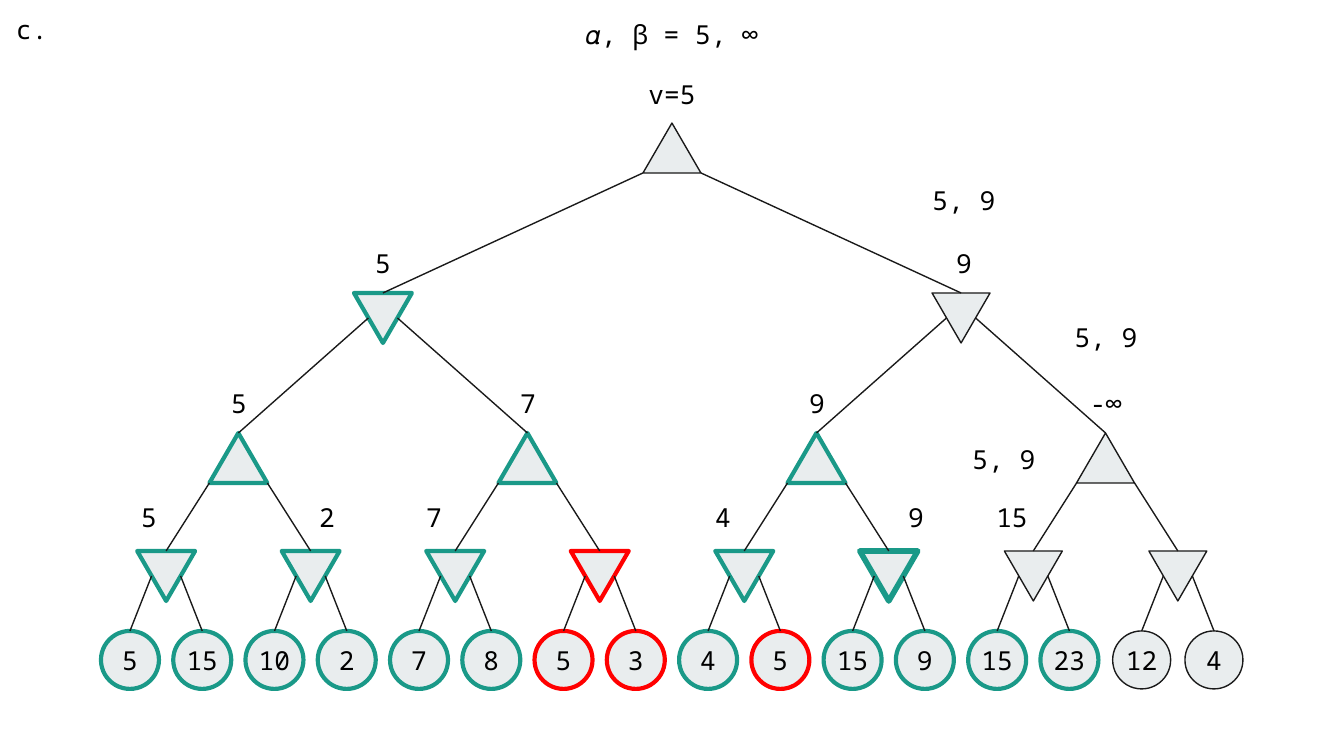
import dataclasses

import lxml.etree
import pptx
import pptx.dml.color
import pptx.enum.shapes
import pptx.enum.text
import pptx.oxml.ns
import pptx.util

EMU_PER_PX = 914400 / 134.4
SHAPES = pptx.enum.shapes.MSO_SHAPE


@dataclasses.dataclass(frozen=True)
class Theme:
    font: str = "Noto Sans Mono"
    text_size: int = 14
    text: str = "000000"
    fill: str = "E9EDEE"
    ink: str = "1A1A1A"
    visited: str = "1A9988"
    pruned: str = "FF0000"
    thin: float = 0.75
    thick: float = 2.25
    heavy: float = 3


THEME = Theme()
OUTLINES = {
    "open": (THEME.ink, THEME.thin),
    "visited": (THEME.visited, THEME.thick),
    "current": (THEME.visited, THEME.heavy),
    "pruned": (THEME.pruned, THEME.thick),
}


def px(value):
    return pptx.util.Emu(round(value * EMU_PER_PX))


def rgb(value):
    return pptx.dml.color.RGBColor.from_string(value)


def write_text(frame, text, *, margin, anchor):
    frame.margin_left = frame.margin_right = px(margin)
    frame.margin_top = frame.margin_bottom = px(margin)
    frame.vertical_anchor = anchor
    frame.word_wrap = True
    paragraph = frame.paragraphs[0]
    paragraph.alignment = pptx.enum.text.PP_ALIGN.CENTER
    run = paragraph.add_run()
    run.text = text
    run.font.name = THEME.font
    run.font.size = pptx.util.Pt(THEME.text_size)
    run.font.color.rgb = rgb(THEME.text)


class TreeSlide:
    node_width = 58
    triangle_height = 50
    label_height = 59

    def __init__(self, theme, slide):
        self.theme = theme
        self.slide = slide

    def outline(self, line, color, width):
        line.color.rgb = rgb(color)
        line.width = pptx.util.Pt(width)

    def node(self, kind, center, top, height, state):
        left = center - self.node_width / 2
        shape = self.slide.shapes.add_shape(
            kind, px(left), px(top), px(self.node_width), px(height))
        shape.shadow.inherit = False
        shape.fill.solid()
        shape.fill.fore_color.rgb = rgb(self.theme.fill)
        self.outline(shape.line, *OUTLINES[state])
        return shape

    def leaf(self, text, center, top, state):
        shape = self.node(SHAPES.OVAL, center, top, self.node_width, state)
        write_text(shape.text_frame, text, margin=0,
                   anchor=pptx.enum.text.MSO_ANCHOR.MIDDLE)

    def triangle(self, center, top, state, points_down):
        shape = self.node(SHAPES.ISOSCELES_TRIANGLE, center, top,
                          self.triangle_height, state)
        if points_down:
            shape.rotation = 180

    def edge(self, start, end):
        connector = self.slide.shapes.add_connector(
            pptx.enum.shapes.MSO_CONNECTOR.STRAIGHT,
            *(px(value) for value in (*start, *end)))
        self.outline(connector.line, self.theme.ink, self.theme.thin)
        lxml.etree.SubElement(connector._element.spPr,
                              pptx.oxml.ns.qn("a:effectLst"))

    def label(self, text, center, top, width=64):
        box = self.slide.shapes.add_textbox(
            px(center - width / 2), px(top), px(width), px(self.label_height))
        write_text(box.text_frame, text, margin=13,
                   anchor=pptx.enum.text.MSO_ANCHOR.TOP)
        box.text_frame.auto_size = pptx.enum.text.MSO_AUTO_SIZE.SHAPE_TO_FIT_TEXT


FIRST_LEAF, LAST_LEAF, LEAF_TOP = 130, 1214, 631
LEAVES = [5, 15, 10, 2, 7, 8, 5, 3, 4, 5, 15, 9, 15, 23, 12, 4]
LEAF_STATES = (["visited"] * 6 + ["pruned"] * 2 + ["visited", "pruned"]
               + ["visited"] * 4 + ["open"] * 2)
LEVELS = [
    (123, ["open"]),
    (293, ["visited", "open"]),
    (433, ["visited"] * 3 + ["open"]),
    (551, ["visited"] * 3 + ["pruned", "visited", "current"] + ["open"] * 2),
]
LABEL_ROWS = [
    (488, 64, [("5", 149), ("2", 327), ("7", 434), ("4", 723), ("9", 916),
               ("15", 1012)]),
    (374, 64, [("5", 239), ("7", 528), ("9", 817), ("-∞", 1106)]),
    (234, 64, [("5", 383), ("9", 964)]),
    (65, 103, [("v=5", 672)]),
    (0, 64, [("c.", 32)]),
    (430, 134, [("5, 9", 1004)]),
    (308, 134, [("5, 9", 1106)]),
    (171, 134, [("5, 9", 964)]),
    (5, 251, [("𝛼, β = 5, ∞", 672)]),
]


def level_centers(count):
    pitch = (LAST_LEAF - FIRST_LEAF) / (len(LEAVES) - 1)
    group = len(LEAVES) // count
    return [FIRST_LEAF + pitch * (group * index + (group - 1) / 2)
            for index in range(count)]


def draw_nodes(tree):
    for value, center, state in zip(LEAVES, level_centers(len(LEAVES)), LEAF_STATES):
        tree.leaf(str(value), center, LEAF_TOP, state)
    for depth, (top, states) in enumerate(LEVELS):
        for center, state in zip(level_centers(len(states)), states):
            tree.triangle(center, top, state, points_down=depth % 2 == 1)


def draw_edges(tree):
    child_tops = [top for top, states in LEVELS[1:]] + [LEAF_TOP]
    for depth, (top, states) in enumerate(LEVELS):
        share = 0.5 if depth % 2 else 1
        reach = tree.node_width / 2 * share
        bottom = top + tree.triangle_height * share
        parents = level_centers(len(states))
        for index, child in enumerate(level_centers(2 * len(states))):
            side = 1 if index % 2 else -1
            start = (parents[index // 2] + side * reach, bottom)
            tree.edge(start, (child, child_tops[depth]))


def main():
    presentation = pptx.Presentation()
    presentation.slide_width = px(1344)
    presentation.slide_height = px(756)
    slide = presentation.slides.add_slide(presentation.slide_layouts[6])
    tree = TreeSlide(THEME, slide)
    draw_nodes(tree)
    draw_edges(tree)
    for top, width, labels in LABEL_ROWS:
        for text, center in labels:
            tree.label(text, center, top, width)
    presentation.save("out.pptx")


if __name__ == "__main__":
    main()
